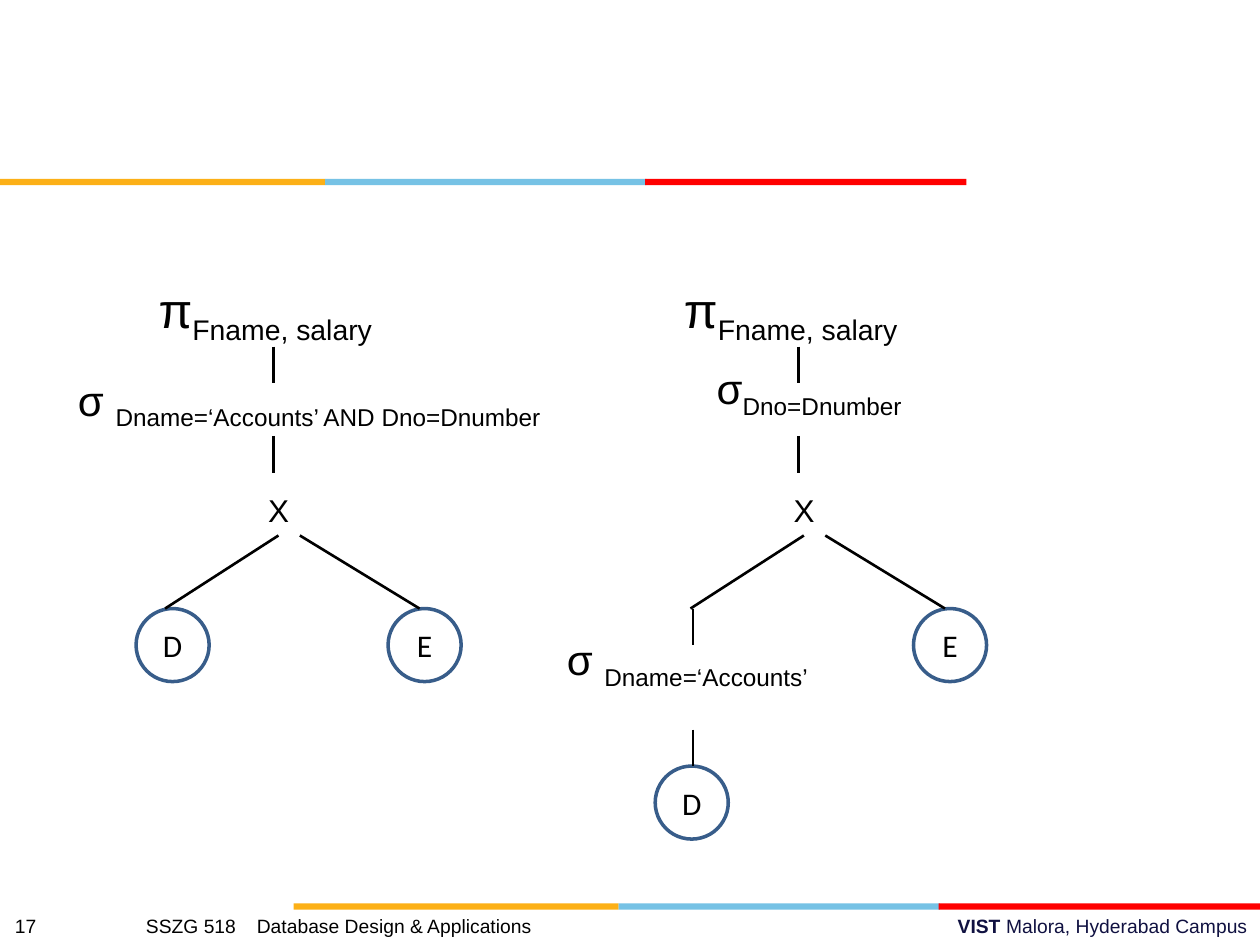
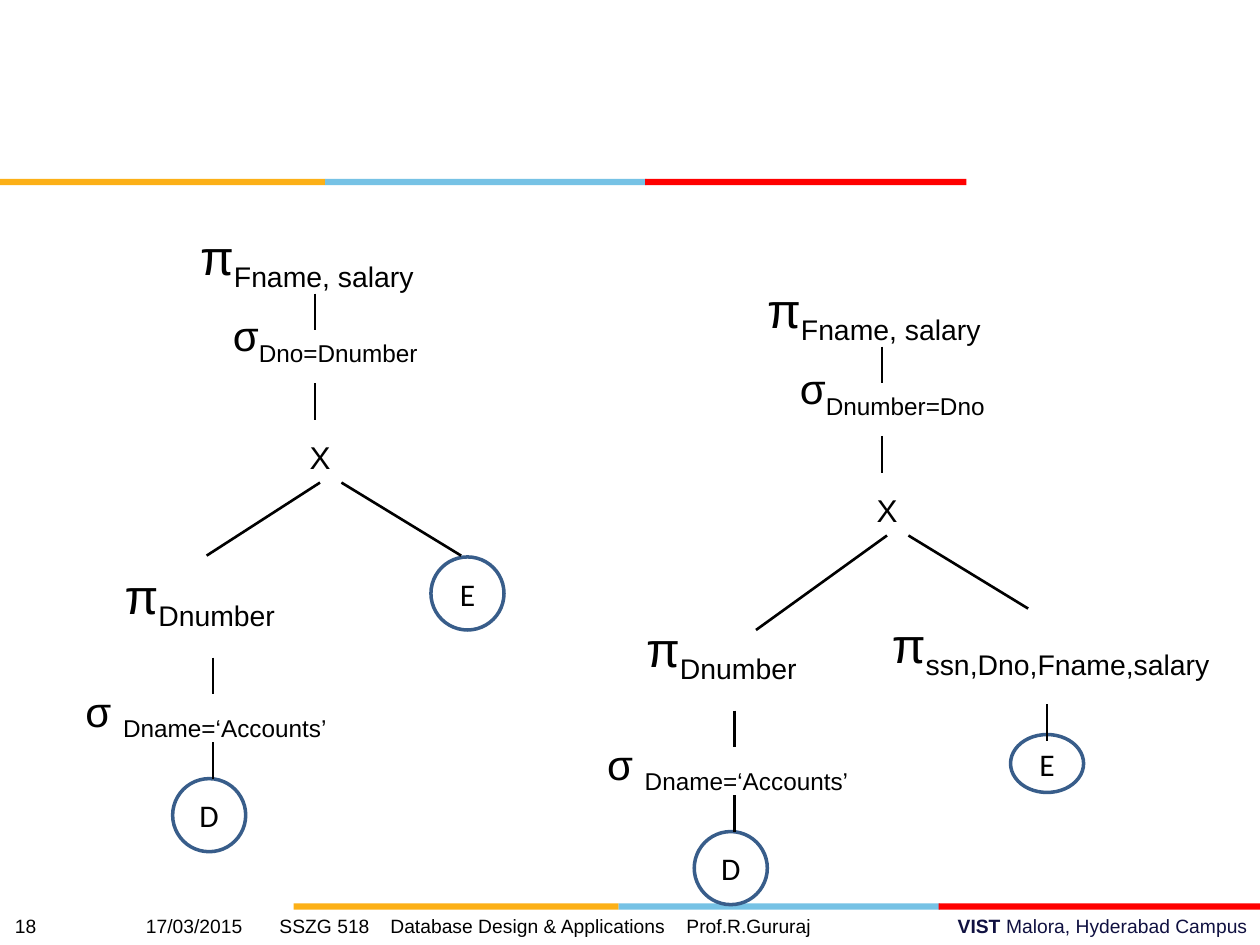
import pptx
import pptx.dml.color
import pptx.enum.shapes
import pptx.enum.text
import pptx.oxml.ns
import pptx.util
from lxml import etree

Inches = pptx.util.Inches
Pt = pptx.util.Pt
RGBColor = pptx.dml.color.RGBColor
SHAPE = pptx.enum.shapes.MSO_SHAPE
PP_ALIGN = pptx.enum.text.PP_ALIGN
qn = pptx.oxml.ns.qn

AMBER = RGBColor(0xFC, 0xB0, 0x17)
SKY = RGBColor(0x76, 0xC2, 0xE5)
RED = RGBColor(0xFF, 0x00, 0x00)
NAVY = RGBColor(0x10, 0x11, 0x41)
NODE_BLUE = RGBColor(0x38, 0x5D, 0x8A)
BLACK = RGBColor(0x00, 0x00, 0x00)
WHITE = RGBColor(0xFF, 0xFF, 0xFF)

NODE = 0.58
LINK = 0.29
PROJECT, SELECT = "π", "σ"
SIGN_SIZE = {PROJECT: 28, SELECT: 24}
SIGN_HEIGHT = {PROJECT: 0.63, SELECT: 0.56}
ACCOUNTS = "Dname=‘Accounts’"


class Deck:
    """Holds the presentation, its style and the current slide."""

    def __init__(self):
        self.prs = pptx.Presentation()
        self.prs.slide_width, self.prs.slide_height = Inches(10), Inches(7.5)
        self.s = None

    def new_slide(self, footer, tabs):
        self.s = self.prs.slides.add_slide(self.prs.slide_layouts[6])
        self.band(0, 1.42)
        self.band(2.33, 7.17)
        p = self.text(3.58, 7.21, 6.42, 0.29)
        p.alignment = PP_ALIGN.RIGHT
        self.run(p, "VIST ", size=11, color=NAVY, bold=True)
        self.run(p, "Malora, Hyderabad Campus", size=11, color=NAVY)
        p = self.text(0.02, 7.21, 6.9, 0.29)
        tab_list = etree.SubElement(p._p.get_or_add_pPr(), qn("a:tabLst"))
        for pos in tabs:
            etree.SubElement(tab_list, qn("a:tab"), pos=str(Inches(pos)), algn="l")
        self.run(p, "\t".join(footer), size=11)

    def run(self, p, text, baseline=None, color=BLACK, **font):
        r = p.add_run()
        r.text = text
        values = {"name": "Arial", "size": 18, "bold": False, **font}
        values["size"] = Pt(values["size"])
        for name, value in values.items():
            setattr(r.font, name, value)
        r.font.color.rgb = color
        if baseline:
            r._r.get_or_add_rPr().set("baseline", str(baseline * 1000))

    def text(self, x, y, w, h, wrap=True):
        """Add a text box and return its first paragraph."""
        sp = self.s.shapes.add_textbox(Inches(x), Inches(y), Inches(w), Inches(h))
        sp.text_frame.word_wrap = wrap
        return sp.text_frame.paragraphs[0]

    def shape(self, kind, x, y, w, h, fill):
        sp = self.s.shapes.add_shape(kind, Inches(x), Inches(y), Inches(w), Inches(h))
        sp.shadow.inherit = False
        sp.fill.solid()
        sp.fill.fore_color.rgb = fill
        sp.line.fill.background()
        return sp

    def band(self, x, y):
        for color, w in ((AMBER, 2.58), (SKY, 2.55), (RED, 2.55)):
            self.shape(SHAPE.RECTANGLE, x, y, w, 0.05, color)
            x += w - 0.01 * (color == SKY)

    def relation(self, name, x, y, h=NODE):
        """Add a leaf of the tree, centred on x."""
        sp = self.shape(SHAPE.OVAL, x - NODE / 2, y, NODE, h, WHITE)
        sp.line.color.rgb = NODE_BLUE
        sp.line.width = Pt(2)
        sp.text_frame.vertical_anchor = pptx.enum.text.MSO_ANCHOR.MIDDLE
        p = sp.text_frame.paragraphs[0]
        p.alignment = PP_ALIGN.CENTER
        self.run(p, name, name="Calibri")

    def operator(self, sign, subscript, x, y, w, gap=""):
        p = self.text(x, y, w, SIGN_HEIGHT[sign], wrap=False)
        self.run(p, sign + gap, size=SIGN_SIZE[sign])
        self.run(p, subscript, size=SIGN_SIZE[sign], baseline=-25)

    def line(self, x1, y1, x2, y2):
        c = self.s.shapes.add_connector(
            pptx.enum.shapes.MSO_CONNECTOR.STRAIGHT,
            Inches(x1), Inches(y1), Inches(x2), Inches(y2))
        c.line.color.rgb = BLACK
        c.line.width = Pt(1.5)
        etree.SubElement(c._element.spPr, qn("a:effectLst"))

    def link(self, x, y):
        self.line(x, y, x, y + LINK)

    def tree_top(self, x, y, condition, left_end=(-0.86, 2.66)):
        """Draw projection, selection, product and both branches on axis x."""
        subscript, dx, dy, w, gap = condition
        self.line(x + 0.21, y + 2.08, x + 1.16, y + 2.66)
        self.line(x + 0.04, y + 2.08, x + left_end[0], y + left_end[1])
        self.run(self.text(x - 0.14, y + 1.68, 0.36, 0.4, wrap=False), "X")
        self.operator(SELECT, subscript, x + dx, y + dy, w, gap)
        self.operator(PROJECT, "Fname, salary", x - 1.01, y, 1.89)
        self.link(x, y + 0.58)
        self.link(x, y + 1.29)

    def department_branch(self, x, y):
        """Draw the projected and filtered D relation on axis x."""
        self.relation("D", x - 0.03, y + 1.74)
        self.operator(SELECT, ACCOUNTS, x - 1.11, y + 0.95, 2.22, " ")
        self.link(x, y + 0.78)
        self.link(x, y + 1.45)
        self.operator(PROJECT, "Dnumber", x - 0.8, y, 1.39)


def join_on(condition):
    return condition, -0.75, 0.66, 1.67, ""


def selection_slide(deck):
    deck.new_slide(["17", "SSZG 518", "Database Design & Applications"], [1.04, 1.92])
    y = 2.17
    for x in (2.17, 6.34):
        deck.relation("E", x + 1.2, y + 2.66)
    deck.relation("D", 1.37, y + 2.66)
    deck.tree_top(2.17, y, (ACCOUNTS + " AND Dno=Dnumber", -1.65, 0.75, 3.89, " "))

    deck.relation("D", 5.49, 6.08)
    deck.tree_top(6.34, y, join_on("Dno=Dnumber"))
    deck.operator(SELECT, ACCOUNTS, 4.4, 4.98, 2.22, " ")
    for link_y in (4.83, 5.79):
        deck.link(5.5, link_y)


def projection_slide(deck):
    deck.new_slide(["18", "17/03/2015", "SSZG 518", "Database Design & Applications",
                    "Prof.R.Gururaj"], [1.04, 2.1, 2.98, 5.33])
    deck.relation("E", 3.71, 4.42)
    deck.tree_top(2.5, 1.75, join_on("Dno=Dnumber"))
    deck.department_branch(1.69, 4.44)

    deck.relation("E", 8.31, 5.83, h=0.46)
    deck.tree_top(7, 2.17, join_on("Dnumber=Dno"), left_end=(-1, 2.83))
    deck.department_branch(5.83, 4.86)
    deck.operator(PROJECT, "ssn,Dno,Fname,salary", 6.98, 4.83, 2.72)
    deck.link(8.31, 5.59)


def main():
    deck = Deck()
    selection_slide(deck)
    projection_slide(deck)
    deck.prs.save("out.pptx")


if __name__ == "__main__":
    main()
